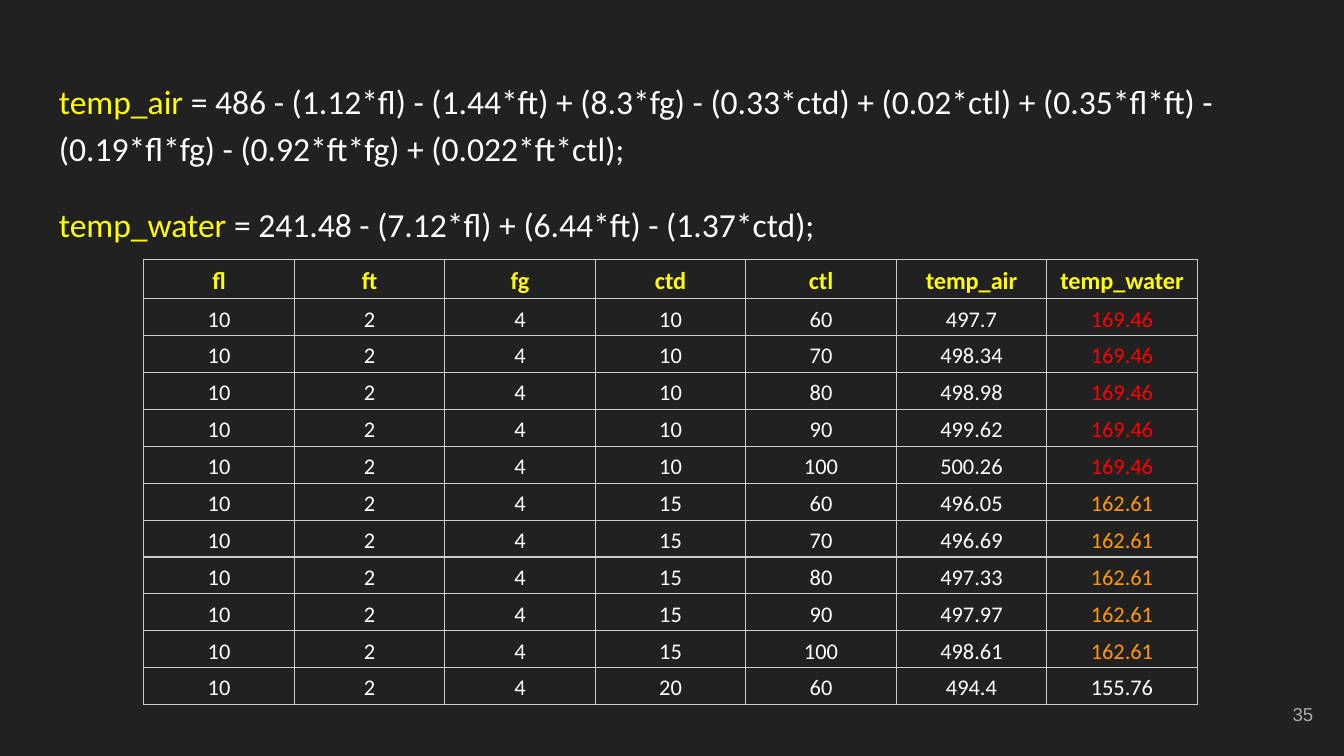
"""Build a slide with two temperature formulas and a table of their values."""
from lxml import etree
from pptx import Presentation
from pptx import util as u
from pptx.dml.color import RGBColor
from pptx.enum import text
from pptx.oxml import ns

COLORS = {"background": "212121", "white": "FFFFFF", "yellow": "FFFF00", "red": "FF0000",
          "orange": "FF9900", "gray": "ADADAD", "border": "CCCCCC"}
FORMULAS = [
    ("temp_air ", "= 486 - (1.12*fl) - (1.44*ft) + (8.3*fg) - (0.33*ctd) + (0.02*ctl) + (0.35*fl*ft) -"
                  "(0.19*fl*fg) - (0.92*ft*fg) + (0.022*ft*ctl);"),
    ("temp_water ", "= 241.48 - (7.12*fl) + (6.44*ft) - (1.37*ctd);"),
]
HEADERS = ["fl", "ft", "fg", "ctd", "ctl", "temp_air", "temp_water"]
GROUPS = [
    ("10", "169.46", "red", ["497.7", "498.34", "498.98", "499.62", "500.26"]),
    ("15", "162.61", "orange", ["496.05", "496.69", "497.33", "497.97", "498.61"]),
    ("20", "155.76", "white", ["494.4"]),
]
CTL_VALUES = ["60", "70", "80", "90", "100"]


def add_span(para, words, size=12, color="white", font="Calibri", bold=False):
    span = para.add_run()
    span.text = words
    span.font.size = u.Pt(size)
    span.font.name = font
    span.font.bold = bold
    span.font.color.rgb = RGBColor.from_string(COLORS[color])


def add_box(page, left, top, width, height, anchor):
    box = page.shapes.add_textbox(u.Inches(left), u.Inches(top), u.Inches(width), u.Inches(height))
    frame = box.text_frame
    frame.word_wrap = True
    frame.vertical_anchor = anchor
    frame.margin_left = frame.margin_right = u.Inches(0.1)
    frame.margin_top = frame.margin_bottom = u.Inches(0.1)
    return frame


deck = Presentation()
deck.slide_width = u.Inches(10)
deck.slide_height = deck.slide_width * 9 // 16
page = deck.slides.add_slide(deck.slide_layouts[6])
page.background.fill.solid()
page.background.fill.fore_color.rgb = RGBColor.from_string(COLORS["background"])

formula_frame = add_box(page, 0.34, 0.46, 9.32, 1.4, text.MSO_ANCHOR.TOP)
for index, (name, expression) in enumerate(FORMULAS):
    para = formula_frame.add_paragraph() if index else formula_frame.paragraphs[0]
    para.line_spacing = 1.15
    para.space_before = u.Pt(16 * index)
    add_span(para, name, size=18, color="yellow")
    add_span(para, expression, size=18)

number_frame = add_box(page, 9.27, 5.1, 0.6, 0.43, text.MSO_ANCHOR.MIDDLE)
number_para = number_frame.paragraphs[0]
number_para.alignment = text.PP_ALIGN.RIGHT
add_span(number_para, "35", size=10, color="gray", font="Arial")

rows = [[(header, {"size": 13, "color": "yellow", "bold": True}) for header in HEADERS]]
for ctd, water, color, air_values in GROUPS:
    for ctl, air in zip(CTL_VALUES, air_values):
        plain = [(value, {}) for value in ("10", "2", "4", ctd, ctl, air)]
        rows.append(plain + [(water, {"color": color})])

column_width, row_height = u.Inches(1.12), u.Inches(0.26)
table = page.shapes.add_table(
    len(rows), len(HEADERS), u.Inches(1.07), u.Inches(1.93),
    column_width * len(HEADERS), row_height * len(rows)).table
table.first_row = False
table.horz_banding = False
for column in table.columns:
    column.width = column_width

for row, values in zip(table.rows, rows):
    row.height = row_height
    for cell, (value, style) in zip(row.cells, values):
        cell.vertical_anchor = text.MSO_ANCHOR.BOTTOM
        cell.margin_left = cell.margin_right = u.Inches(0.03)
        cell.margin_top = cell.margin_bottom = u.Pt(1.6)
        para = cell.text_frame.paragraphs[0]
        para.alignment = text.PP_ALIGN.CENTER
        para.line_spacing = 1.15
        add_span(para, value, **style)
        properties = cell._tc.get_or_add_tcPr()
        for side in ("lnL", "lnR", "lnT", "lnB"):
            line = etree.SubElement(properties, ns.qn(f"a:{side}"), w=str(u.Pt(0.75)))
            fill = etree.SubElement(line, ns.qn("a:solidFill"))
            etree.SubElement(fill, ns.qn("a:srgbClr"), val=COLORS["border"])
        cell.fill.background()

deck.save("out.pptx")
